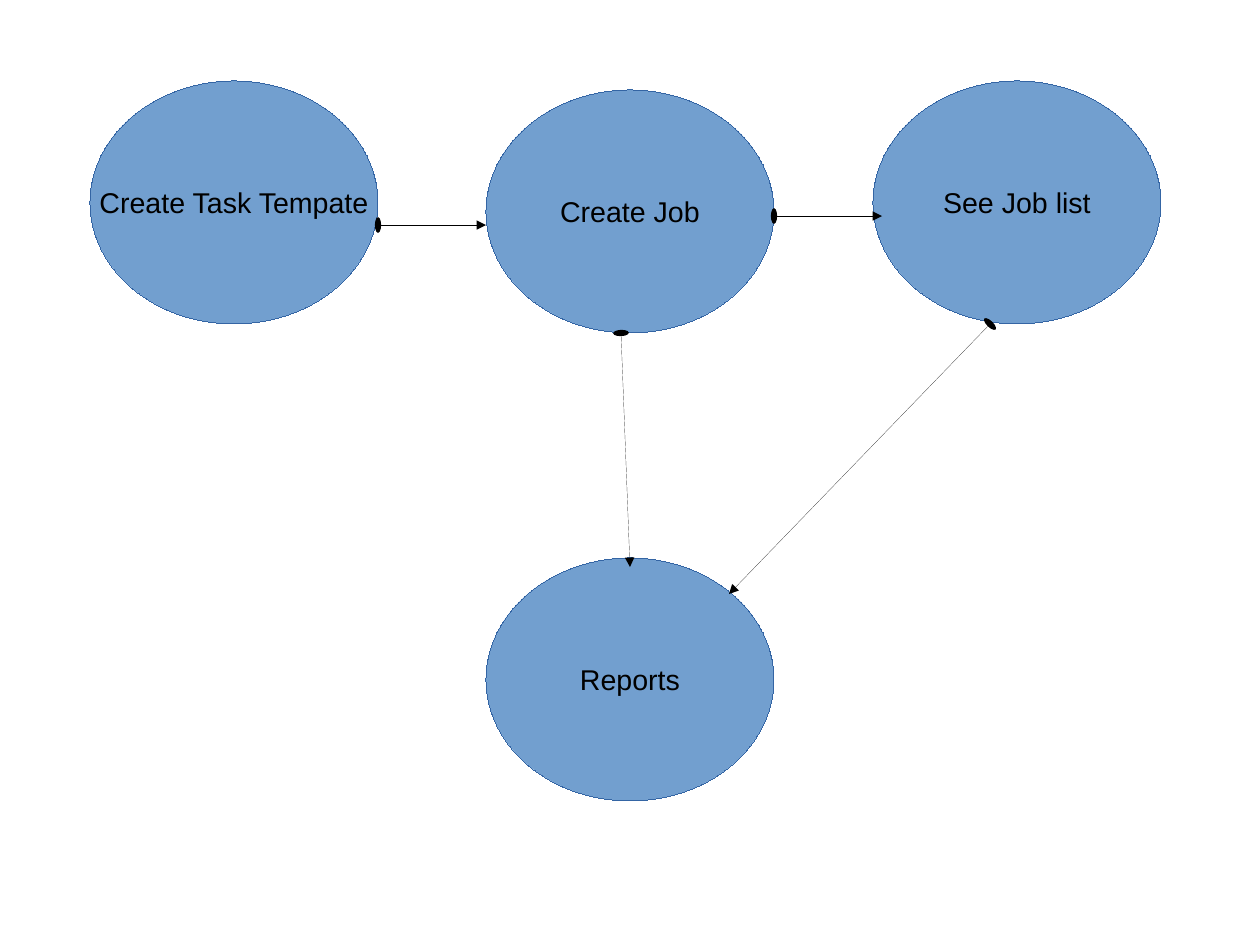
from pptx import Presentation
from pptx.dml.color import RGBColor
from pptx.enum.shapes import MSO_CONNECTOR as Connector, MSO_SHAPE as Shape
from pptx.enum.text import MSO_ANCHOR as Anchor, PP_ALIGN as Align
from pptx.oxml.ns import qn
from pptx.util import Mm, Pt
from lxml.etree import SubElement

COLUMNS, ROWS = 140, 105
CELL = Mm(2)


def color(hex_text):
    return RGBColor.from_string(hex_text)


def apply(target, values):
    for name, value in values.items():
        setattr(target, name, value)


class Diagram:
    """Holds the style and the current slide; lengths are grid cells."""

    bubble_size = (32, 27)
    fill, outline, ink = "729FCF", "3465A4", "000000"
    font = {"name": "Arial", "size": Pt(18)}
    frame = {"word_wrap": False, "vertical_anchor": Anchor.MIDDLE}
    line_ends = {
        "headEnd": {"type": "oval", "w": "lg", "len": "sm"},
        "tailEnd": {"type": "triangle", "w": "med", "len": "med"},
    }

    def __init__(self, slide):
        self.slide = slide

    def hairline(self, shape, hex_text):
        """Without the theme style, a line of no set width is a hairline."""
        shape.line.color.rgb = color(hex_text)
        element = shape._element
        element.remove(element.find(qn("p:style")))

    def bubble(self, text, column, row):
        box = [cells * CELL for cells in (column, row, *self.bubble_size)]
        shape = self.slide.shapes.add_shape(Shape.OVAL, *box)
        shape.shadow.inherit = False
        shape.fill.solid()
        shape.fill.fore_color.rgb = color(self.fill)
        self.hairline(shape, self.outline)
        apply(shape.text_frame, self.frame)
        paragraph = shape.text_frame.paragraphs[0]
        paragraph.alignment = Align.CENTER
        run = paragraph.add_run()
        run.text = text
        apply(run.font, self.font)
        run.font.color.rgb = color(self.ink)

    def arrow(self, start, end):
        ends = [cells * CELL for cells in (*start, *end)]
        connector = self.slide.shapes.add_connector(Connector.STRAIGHT, *ends)
        self.hairline(connector, self.ink)
        properties = connector._element.spPr
        line = properties.find(qn("a:ln"))
        for tag, values in self.line_ends.items():
            SubElement(line, qn(f"a:{tag}"), values)
        SubElement(properties, qn("a:effectLst"))


presentation = Presentation()
apply(presentation, {"slide_width": COLUMNS * CELL, "slide_height": ROWS * CELL})
blank_layout = presentation.slide_layouts[6]
diagram = Diagram(presentation.slides.add_slide(blank_layout))

# Steps: text, left column, top row
for step in (
    ("Create Task Tempate", 10, 9),
    ("Create Job", 54, 10),
    ("See Job list", 97, 9),
    ("Reports", 54, 62),
):
    diagram.bubble(*step)

# Flow between the steps: start and end as (column, row)
for start, end in (
    ((42, 25), (54, 25)),    # template to job
    ((86, 24), (98, 24)),    # job to list
    ((110, 36), (81, 66)),   # list to reports
    ((69, 37), (70, 63)),    # job to reports
):
    diagram.arrow(start, end)

presentation.save("out.pptx")
